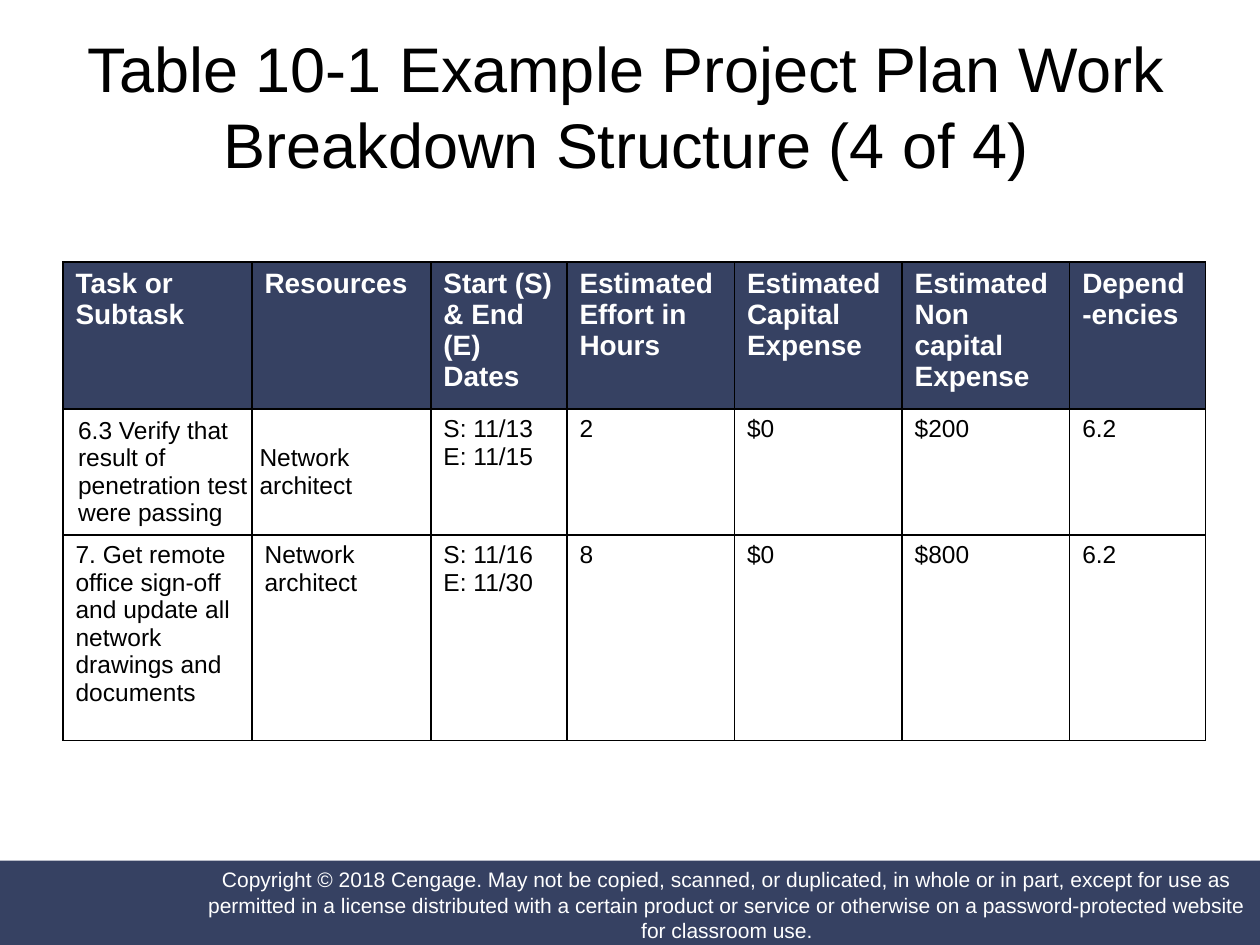
from pptx import Presentation
from pptx.dml.color import RGBColor
from pptx.enum.shapes import MSO_SHAPE
from pptx.enum.text import MSO_ANCHOR, PP_ALIGN
from pptx.oxml import parse_xml
from pptx.oxml.ns import nsdecls
from pptx.util import Inches, Pt

NAVY = RGBColor(0x36, 0x41, 0x62)
WHITE = RGBColor(0xFF, 0xFF, 0xFF)
BLACK = RGBColor(0, 0, 0)
RECT = MSO_SHAPE.RECTANGLE
TOP, MIDDLE = MSO_ANCHOR.TOP, MSO_ANCHOR.MIDDLE
LEFT, CENTER = PP_ALIGN.LEFT, PP_ALIGN.CENTER
INSETS = (0.1, 0.05, 0.1, 0.05)

COLS = [1.5, 1.42, 1.08, 1.33, 1.33, 1.33, 1.08]
ROWS = [1.09, 1, 1.63]
HEAD = ["Task or Subtask", "Resources", "Start (S) & End (E) Dates",
        "Estimated Effort in Hours", "Estimated Capital Expense",
        "Estimated Non capital Expense", "Depend-encies"]
BODY = [
    ["6.3 Verify that result of penetration test were passing",
     "Network architect", "S: 11/13\nE: 11/15", "2", "$0", "$200", "6.2"],
    ["7. Get remote office sign-off and update all network drawings and documents",
     "Network architect", "S: 11/16\nE: 11/30", "8", "$0", "$800", "6.2"],
]
TITLE = "Table 10-1 Example Project Plan Work Breakdown Structure (4 of 4)"
NOTICE = ("Copyright © 2018 Cengage. May not be copied, scanned, or duplicated, "
          "in whole or in part, except for use as permitted in a license "
          "distributed with a certain product or service or otherwise on a "
          "password-protected website for classroom use.")


def write(frame, text, size=14, color=BLACK, bold=False, align=LEFT):
    frame.word_wrap = True
    frame.text = text
    for para in frame.paragraphs:
        para.alignment = align
        font = para.font
        font.name, font.size, font.bold = "Arial", Pt(size), bold
        font.color.rgb = color


def inset(box, left, top, right, bottom):
    box.margin_left, box.margin_top = Inches(left), Inches(top)
    box.margin_right, box.margin_bottom = Inches(right), Inches(bottom)


class Page:
    def __init__(self, slide, line=BLACK, width=1):
        self.slide, self.line, self.width = slide, line, width

    def bar(self, *place):
        shape = self.slide.shapes.add_shape(RECT, *map(Inches, place))
        shape.shadow.inherit = False
        shape.fill.solid()
        shape.fill.fore_color.rgb = NAVY
        shape.line.fill.background()
        return shape

    def label(self, text, *place, **style):
        frame = self.slide.shapes.add_textbox(*map(Inches, place)).text_frame
        write(frame, text, **style)
        frame.vertical_anchor = MIDDLE

    def border(self, cell):
        props = cell._tc.get_or_add_tcPr()
        for spot, side in enumerate("LRTB"):
            props.insert(spot, parse_xml(
                f'<a:ln{side} {nsdecls("a")} w="{Pt(self.width)}"><a:solidFill>'
                f'<a:srgbClr val="{self.line}"/></a:solidFill></a:ln{side}>'))

    def cell(self, cell, text, fill=None, anchor=TOP, pad=INSETS, **style):
        write(cell.text_frame, text, **style)
        cell.vertical_anchor = anchor
        inset(cell, *pad)
        if fill is None:
            cell.fill.background()
        else:
            cell.fill.solid()
            cell.fill.fore_color.rgb = fill
        self.border(cell)

    def table(self, left, top, cols, rows):
        size = map(Inches, (left, top, sum(cols), sum(rows)))
        grid = self.slide.shapes.add_table(len(rows), len(cols), *size).table
        grid.horz_banding = False
        for col, width in zip(grid.columns, cols):
            col.width = Inches(width)
        for row, height in zip(grid.rows, rows):
            row.height = Inches(height)
        return grid


def main():
    deck = Presentation()
    deck.slide_width, deck.slide_height = Inches(10), Inches(7.5)
    page = Page(deck.slides.add_slide(deck.slide_layouts[6]))

    # Footer band and notice
    page.bar(-0.01, 6.83, 10.01, 0.68)
    frame = page.bar(1.62, 6.86, 8.3, 0.64).text_frame
    write(frame, NOTICE, size=12, color=WHITE, align=CENTER)
    frame.vertical_anchor = MIDDLE
    inset(frame, 0, 0, 0, 0)

    # Title
    page.label(TITLE, 0.58, 0.17, 8.78, 1.33, size=36, align=CENTER)

    # Work breakdown table
    grid = page.table(0.5, 2.08, COLS, ROWS)
    for c, text in enumerate(HEAD):
        page.cell(grid.cell(0, c), text, fill=NAVY, size=16, color=WHITE, bold=True)
    tight = {(1, 0): 0.12, (1, 1): 0.06}  # centred cells with a left indent only
    for r, row in enumerate(BODY, 1):
        for c, text in enumerate(row):
            form = {}
            if (r, c) in tight:
                form = {"anchor": MIDDLE, "pad": (tight[r, c], 0, 0, 0)}
            page.cell(grid.cell(r, c), text, **form)

    deck.save("out.pptx")


if __name__ == "__main__":
    main()
